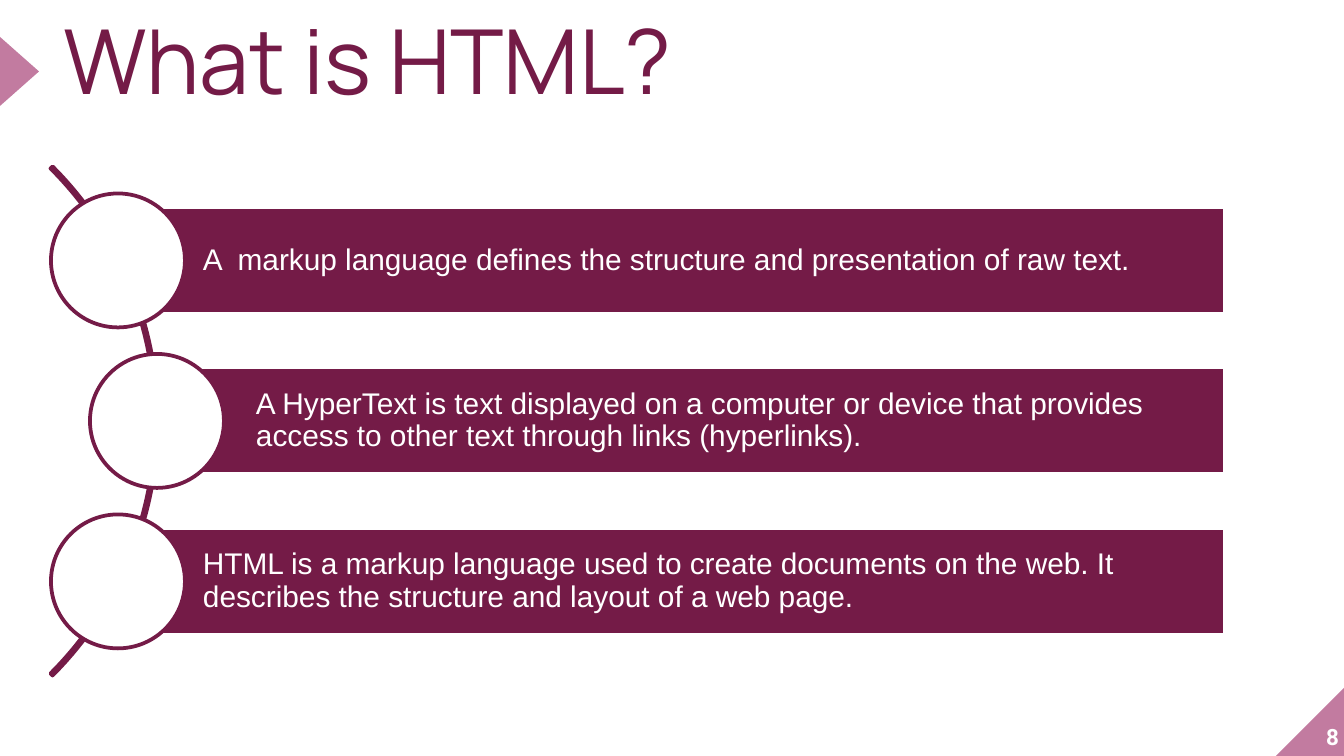
import dataclasses

import pptx
import pptx.dml.color
import pptx.enum.shapes
import pptx.enum.text
import pptx.util

SHAPES = pptx.enum.shapes.MSO_SHAPE
ALIGN = pptx.enum.text.PP_ALIGN
ANCHOR = pptx.enum.text.MSO_ANCHOR
EMU_PER_PX = 914400 / 134.4


@dataclasses.dataclass(frozen=True)
class Theme:
    plum: str = "741B47"
    pink: str = "C27BA0"
    white: str = "FFFFFF"
    title_font: str = "Manrope"
    body_font: str = "Arial"
    number_font: str = "Roboto"
    title_size: int = 48
    body_size: int = 16
    number_size: int = 12
    line_width: int = 2


THEME = Theme()
DEFINITIONS = [
    (118, 118, "A  markup language defines the structure and presentation of raw text."),
    (157, 171, "A HyperText is text displayed on a computer or device that provides "
               "access to other text through links (hyperlinks)."),
    (118, 118, "HTML is a markup language used to create documents on the web. "
               "It describes the structure and layout of a web page."),
]


def px(length):
    return pptx.util.Emu(round(length * EMU_PER_PX))


def rgb(color):
    return pptx.dml.color.RGBColor.from_string(color)


def write_text(frame, text, *, font, size, color, bold=False, align=ALIGN.LEFT,
               anchor=ANCHOR.TOP, spacing=1.0, insets=(0, 0, 0, 0), wrap=True):
    frame.word_wrap = wrap
    frame.vertical_anchor = anchor
    frame.margin_left, frame.margin_top, frame.margin_right, frame.margin_bottom = map(px, insets)
    paragraph = frame.paragraphs[0]
    paragraph.alignment = align
    paragraph.line_spacing = spacing
    run = paragraph.add_run()
    run.text = text
    run.font.name = font
    run.font.size = pptx.util.Pt(size)
    run.font.bold = bold
    run.font.color.rgb = rgb(color)


def add_figure(slide, kind, box, fill=None, line=None):
    figure = slide.shapes.add_shape(kind, *map(px, box))
    figure.shadow.inherit = False
    if fill:
        figure.fill.solid()
        figure.fill.fore_color.rgb = rgb(fill)
    else:
        figure.fill.background()
    if line:
        figure.line.color.rgb = rgb(line)
        figure.line.width = pptx.util.Pt(THEME.line_width)
    else:
        figure.line.fill.background()
    return figure


def add_title(slide, box, text):
    left, top, width, height = box
    side, depth = 69, 39
    pointer_left = (depth - side) / 2
    pointer_top = top + (height - depth) / 2 - 9 + 9
    pointer = add_figure(slide, SHAPES.ISOSCELES_TRIANGLE,
                         (pointer_left, pointer_top, side, depth), fill=THEME.pink)
    pointer.rotation = 90
    title = slide.shapes.add_textbox(*map(px, box))
    write_text(title.text_frame, text, font=THEME.title_font, size=THEME.title_size,
               color=THEME.plum, spacing=0.8)


def add_page_number(slide, box, number):
    left, top, width, height = box
    corner = add_figure(slide, SHAPES.RIGHT_TRIANGLE, box, fill=THEME.pink)
    corner._element.spPr.xfrm.set("flipH", "1")
    label = slide.shapes.add_textbox(*map(px, (left - 6, top - 6, width, height)))
    write_text(label.text_frame, number, font=THEME.number_font, size=THEME.number_size,
               color=THEME.white, bold=True, align=ALIGN.RIGHT, anchor=ANCHOR.BOTTOM)


def add_definitions(slide, box, definitions):
    left, top, width, height = box
    bar_height, circle, arc_size = 107, 134, 720
    right = left + width
    step = (height - bar_height) / (len(definitions) - 1)
    middle = top + height / 2

    arc = add_figure(slide, SHAPES.BLOCK_ARC,
                     (left - 680, middle - arc_size / 2, arc_size, arc_size), line=THEME.plum)
    for index, value in enumerate((189, 27, 0.004)):
        arc.adjustments[index] = value

    for row, (circle_center, bar_left, text) in enumerate(definitions):
        bar_top = top + row * step
        bar = add_figure(slide, SHAPES.RECTANGLE,
                         (bar_left, bar_top, right - bar_left, bar_height),
                         fill=THEME.plum, line=THEME.white)
        write_text(bar.text_frame, text, font=THEME.body_font, size=THEME.body_size,
                   color=THEME.white, anchor=ANCHOR.MIDDLE, spacing=0.9, insets=(85, 5, 5, 5))
        add_figure(slide, SHAPES.OVAL,
                   (circle_center - circle / 2, bar_top + (bar_height - circle) / 2,
                    circle, circle),
                   fill=THEME.white, line=THEME.plum)


def main():
    deck = pptx.Presentation()
    deck.slide_width, deck.slide_height = px(1344), px(756)
    slide = deck.slides.add_slide(deck.slide_layouts[6])
    add_page_number(slide, (1276, 687, 69, 69), "8")
    add_definitions(slide, (118, 207, 1107, 428), DEFINITIONS)
    add_title(slide, (63, 26, 829, 91), "What is HTML?")
    deck.save("out.pptx")


if __name__ == "__main__":
    main()
